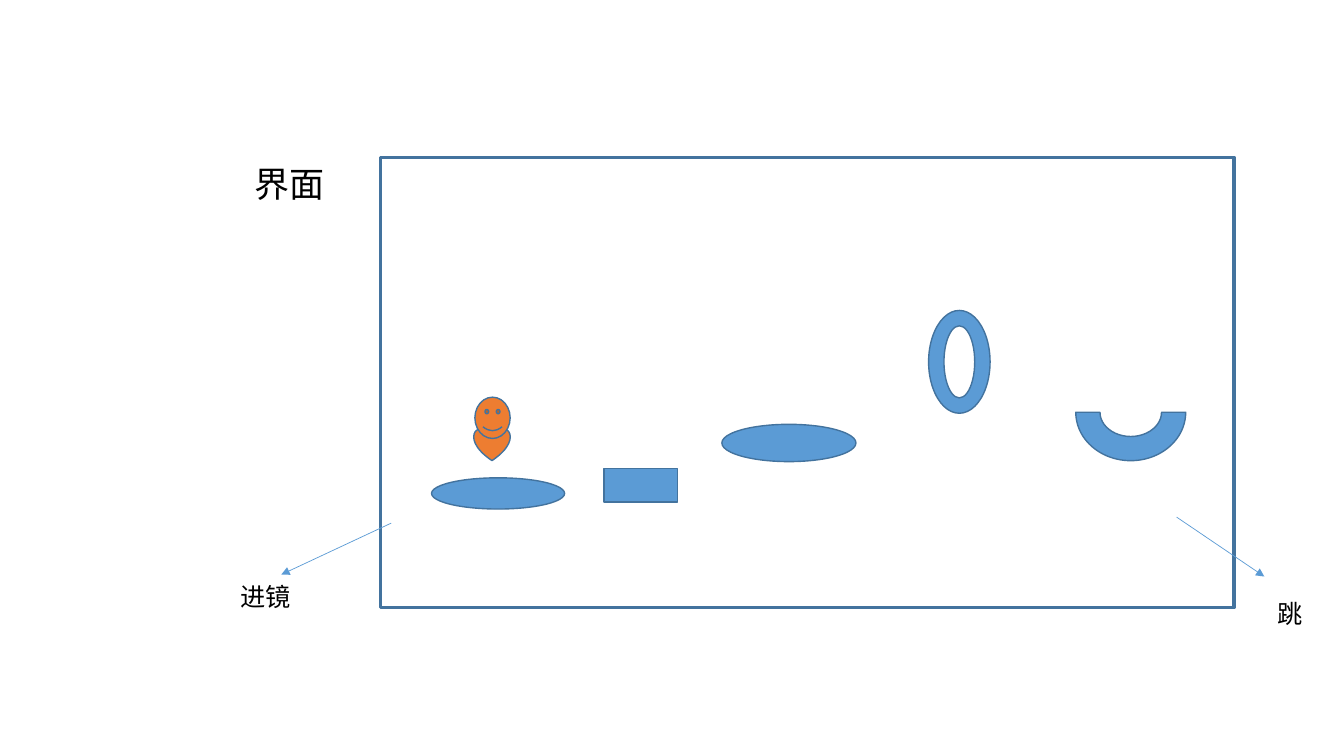
from pptx import Presentation
from pptx.dml.color import RGBColor
from pptx.enum.shapes import MSO_CONNECTOR, MSO_SHAPE as SHAPE
from pptx.enum.text import MSO_ANCHOR, MSO_AUTO_SIZE, PP_ALIGN
from pptx.oxml.ns import qn
from pptx.util import Inches, Pt
from lxml.etree import SubElement

FONT = "DejaVu Sans"
COLORS = {
    "text": "000000",
    "screen": "FFFFFF",
    "obstacle": "5B9BD5",
    "outline": "43739E",
    "player": "ED7D31",
}
SCREEN_BOX = (3.77, 1.56, 8.47, 4.47)

# Kind, left, top, width, height, rotation; places are relative to the screen
OBSTACLES = [
    (SHAPE.OVAL, 0.51, 3.18, 1.32, 0.31, 0),
    (SHAPE.RECTANGLE, 2.22, 3.09, 0.73, 0.33, 0),
    (SHAPE.OVAL, 3.39, 2.65, 1.33, 0.37, 0),
    (SHAPE.DONUT, 5.44, 1.52, 0.61, 1.02, 0),
    (SHAPE.BLOCK_ARC, 6.9, 2.05, 1.09, 0.96, 180),
]


def color(name):
    return RGBColor.from_string(COLORS[name])


def add_figure(shapes, kind, box, fill, line_width=1, rotation=0):
    shape = shapes.add_shape(kind, *map(Inches, box))
    shape.shadow.inherit = False
    shape.fill.solid()
    shape.fill.fore_color.rgb = color(fill)
    shape.line.color.rgb = color("outline")
    shape.line.width = Pt(line_width)
    shape.rotation = rotation


def write_text(shape, text, size):
    frame = shape.text_frame
    frame.text = text
    frame.word_wrap = True
    frame.auto_size = MSO_AUTO_SIZE.SHAPE_TO_FIT_TEXT
    frame.vertical_anchor = MSO_ANCHOR.TOP
    paragraph = frame.paragraphs[0]
    paragraph.alignment = PP_ALIGN.LEFT
    font = paragraph.runs[0].font
    font.name = FONT
    font.size = Pt(size)
    font.color.rgb = color("text")
    SubElement(paragraph.runs[0]._r.rPr, qn("a:ea"), typeface=FONT)


def add_title(slide, text, box):
    title = slide.shapes.title
    title.left, title.top, title.width, title.height = map(Inches, box)
    write_text(title, text, 25)


def add_player(slide, left, top):
    """Group a heart body and a smiling head, with the body's left edge at left."""
    group = slide.shapes.add_group_shape()
    add_figure(group.shapes, SHAPE.HEART, (left, top + 0.3, 0.36, 0.33), "player")
    add_figure(group.shapes, SHAPE.SMILEY_FACE, (left + 0.01, top, 0.35, 0.41), "player")


def add_screen(slide, box):
    """Draw the game screen with its obstacles and the player."""
    left, top = box[:2]
    add_figure(slide.shapes, SHAPE.RECTANGLE, box, "screen", 2.25)
    for kind, x, y, width, height, rotation in OBSTACLES:
        obstacle_box = (left + x, top + y, width, height)
        add_figure(slide.shapes, kind, obstacle_box, "obstacle", rotation=rotation)
    add_player(slide, left + 0.93, top + 2.38)


def add_callout(slide, text, start, end, label_box):
    """Draw an arrow from the screen to a label outside it."""
    arrow = slide.shapes.add_connector(
        MSO_CONNECTOR.STRAIGHT, *map(Inches, start + end))
    arrow.line.color.rgb = color("obstacle")
    arrow.line.width = Pt(0.5)
    SubElement(arrow.line._get_or_add_ln(), qn("a:tailEnd"), type="triangle")
    SubElement(arrow._element.spPr, qn("a:effectLst"))
    label = slide.shapes.add_textbox(*map(Inches, label_box))
    write_text(label, text, 18)


def main():
    presentation = Presentation()
    presentation.slide_width = Inches(13.33)
    presentation.slide_height = Inches(7.5)
    slide = presentation.slides.add_slide(presentation.slide_layouts[5])
    add_title(slide, "界面", (2.42, 1.56, 1.6, 0.52))
    add_screen(slide, SCREEN_BOX)
    add_callout(slide, "进镜", (3.88, 5.19), (2.79, 5.7), (2.29, 5.72, 0.84, 0.4))
    add_callout(slide, "跳", (11.67, 5.13), (12.54, 5.72), (12.57, 5.89, 0.3, 0.4))
    presentation.save("out.pptx")


if __name__ == "__main__":
    main()
